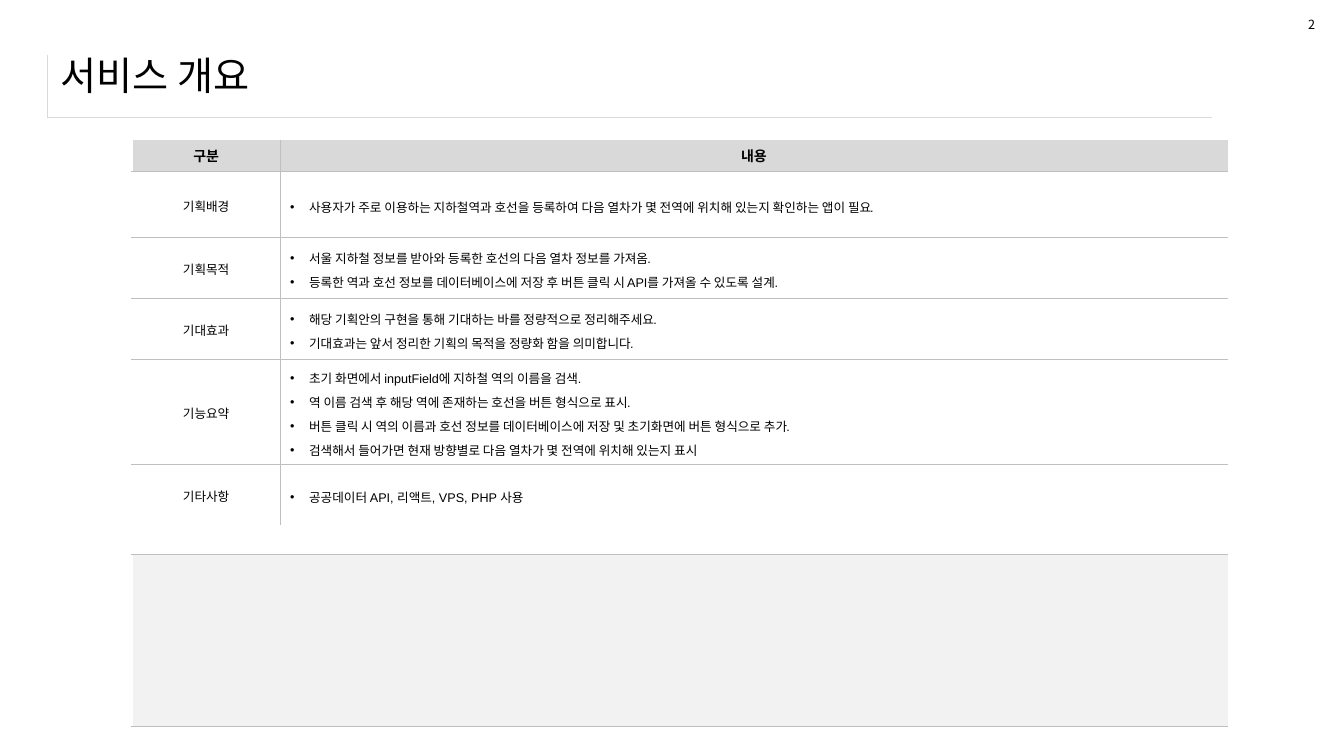
import pptx
import pptx.util
import pptx.dml.color
import pptx.enum.text
import pptx.oxml.ns
import lxml.etree

Pt = pptx.util.Pt
ALIGN = pptx.enum.text.PP_ALIGN
MIDDLE = pptx.enum.text.MSO_ANCHOR.MIDDLE
qn = pptx.oxml.ns.qn

COLORS = {
    "text": "000000",
    "grid": "BFBFBF",
    "frame": "D9D9D9",
    "header": "D9D9D9",
    "panel": "F2F2F2",
    "edge": "FFFFFF",
}
KOREAN = "Noto Sans CJK KR"
LATIN = "Arial"
GRID = ("grid", 0.25)
FRAME = ("frame", 0.25)
EDGE = ("edge", 1)

SECTIONS = [
    ("기획배경", ["사용자가 주로 이용하는 지하철역과 호선을 등록하여 다음 열차가 몇 전역에 위치해 있는지 확인하는 앱이 필요."]),
    ("기획목적", [
        "서울 지하철 정보를 받아와 등록한 호선의 다음 열차 정보를 가져옴.",
        "등록한 역과 호선 정보를 데이터베이스에 저장 후 버튼 클릭 시 API를 가져올 수 있도록 설계.",
    ]),
    ("기대효과", [
        "해당 기획안의 구현을 통해 기대하는 바를 정량적으로 정리해주세요.",
        "기대효과는 앞서 정리한 기획의 목적을 정량화 함을 의미합니다.",
    ]),
    ("기능요약", [
        "초기 화면에서 inputField에 지하철 역의 이름을 검색.",
        "역 이름 검색 후 해당 역에 존재하는 호선을 버튼 형식으로 표시.",
        "버튼 클릭 시 역의 이름과 호선 정보를 데이터베이스에 저장 및 초기화면에 버튼 형식으로 추가.",
        "검색해서 들어가면 현재 방향별로 다음 열차가 몇 전역에 위치해 있는지 표시",
    ]),
    ("기타사항", ["공공데이터 API, 리액트, VPS, PHP 사용"]),
]
COLUMN_WIDTHS = [105.8, 676.8]
ROW_HEIGHTS = [22.3, 47, 43.5, 43.5, 67.7, 43.5, 20.6, 123.4]


def rgb(name):
    return pptx.dml.color.RGBColor.from_string(COLORS[name])


def add_text(paragraph, text, size, latin=KOREAN, bold=False, align=ALIGN.LEFT, spacing=None):
    paragraph.alignment = align
    if spacing:
        paragraph.line_spacing = spacing
    run = paragraph.add_run()
    run.text = text
    run.font.size = Pt(size)
    run.font.bold = bold
    run.font.name = latin
    run.font.color.rgb = rgb("text")
    east_asian = lxml.etree.Element(qn("a:ea"), typeface=KOREAN)
    run.font._element.find(qn("a:latin")).addnext(east_asian)


def add_bullets(frame, lines):
    for index, line in enumerate(lines):
        paragraph = frame.add_paragraph() if index else frame.paragraphs[0]
        add_text(paragraph, line, 9, LATIN, align=ALIGN.JUSTIFY, spacing=1.3)
        properties = paragraph._p.get_or_add_pPr()
        properties.set("marL", str(Pt(13.5)))
        properties.set("indent", str(-Pt(13.5)))
        lxml.etree.SubElement(properties, qn("a:buFont"), typeface=LATIN)
        lxml.etree.SubElement(properties, qn("a:buChar"), char="•")


def style_cell(cell, fill=None, **borders):
    properties = cell._tc.get_or_add_tcPr()
    for side in "LRTB":
        line = lxml.etree.SubElement(properties, qn("a:ln" + side))
        if side in borders:
            color, width = borders[side]
            line.set("w", str(Pt(width)))
            solid = lxml.etree.SubElement(line, qn("a:solidFill"))
            lxml.etree.SubElement(solid, qn("a:srgbClr"), val=COLORS[color])
        else:
            line.set("w", "0")
            lxml.etree.SubElement(line, qn("a:noFill"))
    cell.vertical_anchor = MIDDLE
    if fill:
        cell.fill.solid()
        cell.fill.fore_color.rgb = rgb(fill)
    else:
        cell.fill.background()


def shrink_empty(cell):
    lxml.etree.SubElement(cell.text_frame.paragraphs[0]._p, qn("a:endParaRPr"), sz="900")


def add_grid(slide, left, top, widths, heights):
    frame = slide.shapes.add_table(
        len(heights), len(widths), Pt(left), Pt(top), Pt(sum(widths)), Pt(sum(heights)))
    grid = frame.table
    grid.first_row = False
    grid.horz_banding = False
    for column, width in zip(grid.columns, widths):
        column.width = Pt(width)
    for row, height in zip(grid.rows, heights):
        row.height = Pt(height)
    return grid


def add_title_frame(slide):
    cell = add_grid(slide, 33.8, 39.3, [832.3], [44.6]).cell(0, 0)
    style_cell(cell, L=FRAME, B=FRAME)
    shrink_empty(cell)


def add_title(slide, text):
    title = slide.shapes.title
    title.left, title.top, title.width, title.height = Pt(36), Pt(29.5), Pt(899.3), Pt(48.2)
    title.text_frame.vertical_anchor = MIDDLE
    title.text_frame.auto_size = pptx.enum.text.MSO_AUTO_SIZE.NONE
    add_text(title.text_frame.paragraphs[0], text, 28)


def add_overview(slide):
    overview = add_grid(slide, 94.3, 100, COLUMN_WIDTHS, ROW_HEIGHTS)
    for column, heading in enumerate(["구분", "내용"]):
        cell = overview.cell(0, column)
        add_text(cell.text_frame.paragraphs[0], heading, 10, bold=True, align=ALIGN.CENTER)
        sides = {"L": GRID} if column else {"L": EDGE, "R": GRID}
        style_cell(cell, "header", B=GRID, **sides)

    for row, (label, lines) in enumerate(SECTIONS, 1):
        label_cell, content_cell = overview.cell(row, 0), overview.cell(row, 1)
        add_text(label_cell.text_frame.paragraphs[0], label, 9, LATIN,
                 align=ALIGN.CENTER, spacing=1.2)
        add_bullets(content_cell.text_frame, lines)
        sides = {"T": GRID}
        if row < len(SECTIONS):
            sides["B"] = GRID
        style_cell(label_cell, L=EDGE, R=GRID, **sides)
        style_cell(content_cell, L=GRID, **sides)

    gap_row = len(SECTIONS) + 1
    for row, fill, sides in [
        (gap_row, None, {"B": GRID}),
        (gap_row + 1, "panel", {"T": GRID, "B": GRID}),
    ]:
        first, last = overview.cell(row, 0), overview.cell(row, 1)
        first.merge(last)
        style_cell(first, fill, L=EDGE, **sides)
        style_cell(last, fill, **sides)
        shrink_empty(first)
        shrink_empty(last)


def add_page_number(slide, number):
    box = slide.shapes.add_textbox(Pt(927.4), Pt(8.6), Pt(19.4), Pt(18))
    box.text_frame.word_wrap = False
    add_text(box.text_frame.paragraphs[0], number, 9)


def main():
    deck = pptx.Presentation()
    deck.slide_width, deck.slide_height = Pt(960), Pt(540)
    slide = deck.slides.add_slide(deck.slide_layouts[5])
    add_title_frame(slide)
    add_title(slide, "서비스 개요")
    add_overview(slide)
    add_page_number(slide, "2")
    deck.save("out.pptx")


main()
